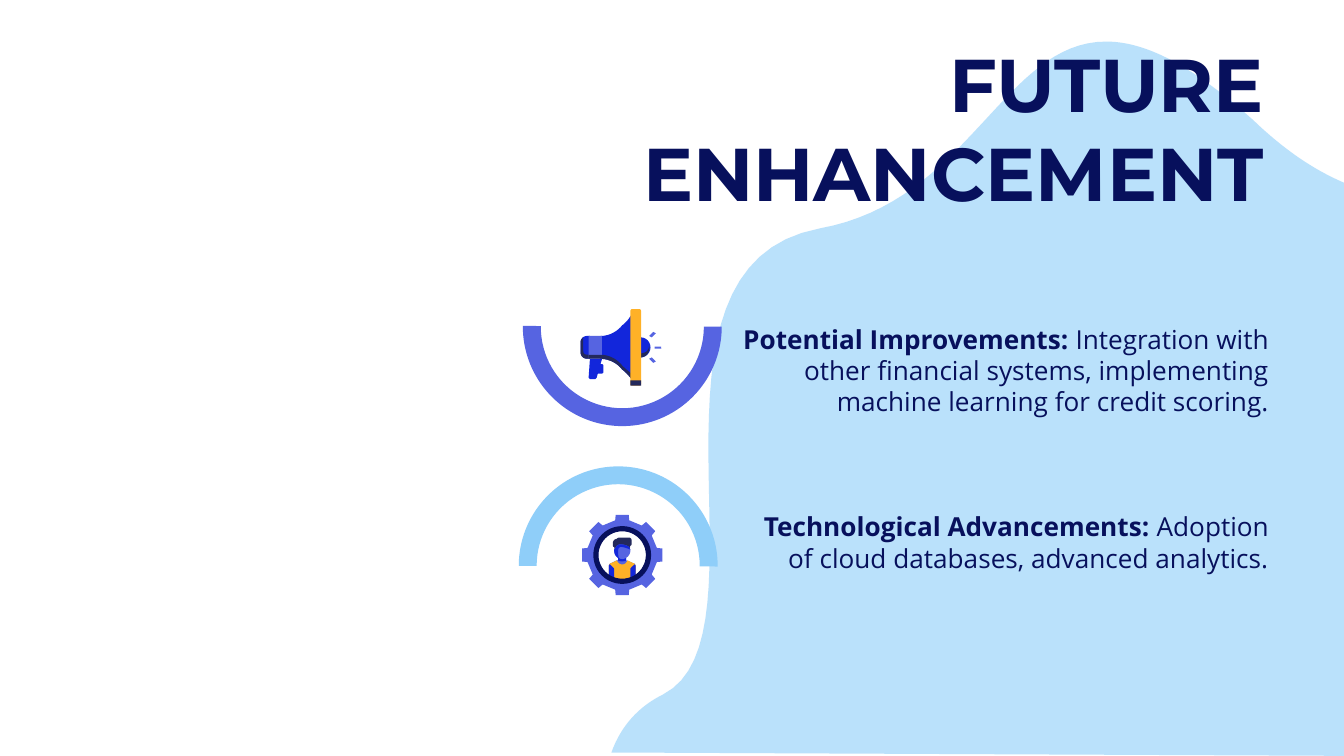
"""Build the future enhancement slide on a grid of 1000 columns by 562.5 rows."""
import math

import lxml.etree
import pptx
import pptx.dml.color
import pptx.enum.shapes
import pptx.enum.text
import pptx.oxml.ns
import pptx.util

CELL = pptx.util.Inches(0.01)
COLUMNS, ROWS = 1000, 562.5
FINENESS = 100
COLORS = {"navy": "07105C", "ink": "23295C", "blue": "1226DB", "violet": "5664E1",
          "sky": "8FCEF9", "amber": "FFB127"}
KINDS = pptx.enum.shapes.MSO_SHAPE
BLOB = [(823, 31), (747, 31, 721, 150, 610, 170), (459, 198, 579, 474, 493, 517),
        (461, 533, 450, 563, 449, 593), (COLUMNS, ROWS), (COLUMNS, 136),
        (979, 127, 957, 113, 932, 89), (885, 47, 851, 31, 823, 31)]
SHOULDERS = [(22, 36), (21, 36, 20, 37, 20, 39), (20, 48), (40, 48), (40, 39),
             (40, 37, 39, 36, 38, 36)]
SLEEVE = [(21, 37), (20, 37, 20, 38, 20, 39), (20, 48), (24, 48), (24, 41),
          (24, 40, 24, 40, 23, 39)]
HORN_EDGE = [(22, 37, 28, 41, 31, 45), (34, 47, 36, 50, 38, 52), (39, 52)]
RAY = [(54, 17), (56, 18), (53, 21), (51, 20)]
MEGAPHONE = [
    ("blue", KINDS.ROUNDED_RECTANGLE, (9, 41, 8, 7)),
    ("blue", KINDS.OVAL, (37, 21, 15, 15)),
    ("ink", None, [(37, 27), (36, 32, 39, 36, 44, 36), (49, 36, 52, 32, 51, 27),
                   (51, 31, 48, 33, 44, 33), (40, 33, 37, 31, 37, 27)]),
    ("blue", None, [(38, 4), (36, 7, 34, 10, 31, 12), (28, 16, 22, 20, 15, 20), (14, 21),
                    (14, 36), (15, 37), *HORN_EDGE, (39, 4)]),
    ("ink", None, [(14, 33), (14, 36), (15, 37), *HORN_EDGE, (39, 47), (38, 48),
                   (38, 48, 35, 46, 31, 42), (28, 38, 22, 34, 15, 34)]),
    ("amber", KINDS.ROUNDED_RECTANGLE, (37, 0, 8, 57)),
    ("ink", KINDS.RECTANGLE, (37, 53, 8, 4)),
    ("blue", None, [(5, 20), (2, 20, 0, 22, 0, 25), (0, 32), (0, 35, 2, 37, 5, 37),
                    (7, 37), (7, 20)]),
    ("ink", None, [(2, 21), (1, 22, 0, 23, 0, 25), (0, 32), (0, 35, 2, 37, 5, 37), (7, 37),
                   (7, 34), (5, 34), (3, 34, 2, 33, 2, 31)]),
    ("violet", KINDS.RECTANGLE, (6, 20, 10, 17)),
    ("ink", KINDS.RECTANGLE, (6, 34, 10, 3)),
    ("blue", None, [(7, 37), (6, 51), (7, 52), (11, 52), (12, 51), (16, 37)]),
    ("violet", KINDS.ROUNDED_RECTANGLE, (55, 28, 5, 1.5)),
    ("violet", None, RAY),
    ("violet", None, [(x, 57 - y) for x, y in RAY]),
]
PERSON = [
    ("violet", None, [(27, 32), (27, 34, 27, 34, 26, 34), *SHOULDERS, (33, 34), (33, 32)]),
    ("blue", None, [(27, 32), (27, 34), (28, 35, 32, 35, 33, 34), (33, 32)]),
    ("amber", None, [(26, 34), *SHOULDERS, (34, 34), (33, 36, 32, 37, 30, 37),
                     (28, 37, 27, 36, 26, 34)]),
    ("ink", None, [(26, 18), (24, 18, 23, 20, 23, 21), (23, 22), (23, 23, 23, 24, 24, 24),
                   (25, 29), (28, 29), (28, 18)]),
    ("ink", None, [(28, 17), (26, 17, 25, 19, 25, 20), (25, 21, 26, 22, 27, 22), (35, 29),
                   (36, 23), (37, 23, 37, 22, 37, 21), (37, 19), (37, 18, 36, 17, 35, 17)]),
    ("violet", None, [(28, 22), (26, 23), (24, 26), (24, 27), (24, 30, 27, 33, 30, 33),
                      (33, 33, 36, 30, 36, 27), (36, 26), (35, 24),
                      (34, 23, 31, 22, 28, 22)]),
    ("blue", None, [(28, 22), (26, 23), (24, 26), (24, 27), (24, 30, 26, 32, 28, 33),
                    (27, 32, 27, 30, 27, 29), (27, 26), (27, 25, 28, 24, 29, 24),
                    (31, 24, 34, 25, 36, 26), (35, 24), (34, 23, 31, 22, 28, 22)]),
    ("blue", None, SLEEVE),
    ("blue", None, [tuple(60 - value if index % 2 == 0 else value
                          for index, value in enumerate(step)) for step in SLEEVE]),
]


def color(name):
    """Return a named palette colour."""
    return pptx.dml.color.RGBColor.from_string(COLORS[name])


def paint(shape, name):
    """Fill a shape with a flat colour, without line or shadow."""
    shape.shadow.inherit = False
    shape.fill.solid()
    shape.fill.fore_color.rgb = color(name)
    shape.line.fill.background()
    return shape


def trace(steps, smoothness=32):
    """Turn points and cubic curve steps into a list of points."""
    points = [steps[0]]
    for step in steps[1:]:
        if len(step) == 2:
            points.append(step)
            continue
        knots = [points[-1], step[:2], step[2:4], step[4:]]
        for tick in range(1, smoothness + 1):
            t = tick / smoothness
            weights = ((1 - t) ** 3, 3 * t * (1 - t) ** 2, 3 * t * t * (1 - t), t ** 3)
            points.append(tuple(sum(w * knot[axis] for w, knot in zip(weights, knots))
                                for axis in (0, 1)))
    return points


def add_outline(shapes, contours, name, left=0, top=0):
    """Draw closed contours as one freeform, offset by grid cells."""
    contours = [[((x + left) * FINENESS, (y + top) * FINENESS) for x, y in contour]
                for contour in contours]
    builder = shapes.build_freeform(*contours[0][0], scale=CELL / FINENESS)
    builder.add_line_segments(contours[0][1:])
    for contour in contours[1:]:
        builder.move_to(*contour[0])
        builder.add_line_segments(contour[1:])
    return paint(builder.convert_to_shape(), name)


def add_preset(shapes, kind, box, name):
    """Draw a preset shape in a box of grid cells."""
    return paint(shapes.add_shape(kind, *(round(CELL * value) for value in box)), name)


def add_backdrop(page):
    """Draw the translucent blob, trimmed to the slide."""
    edge = [(x, y) for x, y in trace(BLOB) if y <= ROWS]
    blob = add_outline(page.shapes, [edge], "sky")
    tint = blob.fill._xPr.find(".//" + pptx.oxml.ns.qn("a:srgbClr"))
    lxml.etree.SubElement(tint, pptx.oxml.ns.qn("a:alpha"), val="61000")


def add_icon(page, left, top, parts):
    """Draw icon parts as a group at a grid position."""
    group = page.shapes.add_group_shape()
    for name, kind, form in parts:
        if kind is None:
            add_outline(group.shapes, [trace(form, 8)], name, left, top)
        else:
            add_preset(group.shapes, kind, (left + form[0], top + form[1], *form[2:]), name)
    return group


def add_gear(group, left, top, size=60):
    """Add an eight-toothed gear and its inner ring to a group."""
    center = size / 2

    def around(radius, angle):
        """Return a point on a circle about the gear's center."""
        return center + radius * math.cos(angle), center + radius * math.sin(angle)

    teeth = [around(radius, math.pi / 4 * tooth + offset) for tooth in range(8)
             for radius, offset in ((26.3, -0.2), (30.3, -0.16), (30.3, 0.16), (26.3, 0.2))]
    hole = [around(18, -math.pi / 36 * tick) for tick in range(72)]
    add_outline(group.shapes, [teeth, hole], "violet", left, top)
    ring = add_preset(group.shapes, KINDS.DONUT, (left + 8.5, top + 8.5, 43, 43), "navy")
    ring.adjustments[0] = 0.09


def add_arc(page, left, top, name, rotation):
    """Draw a half ring at a grid position."""
    arc = add_preset(page.shapes, KINDS.BLOCK_ARC, (left, top, 148, 148), name)
    arc.rotation = rotation
    for index, value in enumerate((108, 0.254, 0.09)):
        arc.adjustments[index] = value


def add_text(page, box, paragraphs, font, size, layout, hanging=False):
    """Write right-aligned paragraphs of (text, bold) spans in a box."""
    frame = page.shapes.add_textbox(*(round(CELL * value) for value in box)).text_frame
    frame.word_wrap = True
    for side in ("left", "right", "top", "bottom"):
        setattr(frame, "margin_" + side, 10 * CELL)
    for index, spans in enumerate(paragraphs):
        para = frame.paragraphs[0] if index == 0 else frame.add_paragraph()
        para.alignment = pptx.enum.text.PP_ALIGN.RIGHT
        for key, value in layout.items():
            if index or key != "space_before":
                setattr(para, key, value)
        if hanging:
            properties = para._p.get_or_add_pPr()
            properties.set("marL", str(50 * CELL))
            properties.set("indent", str(-38 * CELL))
        for text, bold in spans:
            span = para.add_run()
            span.text = text
            style = {"name": font, "size": pptx.util.Pt(size), "bold": bold}
            for key, value in style.items():
                setattr(span.font, key, value)
            span.font.color.rgb = color("navy")


def main():
    """Assemble and save the slide."""
    deck = pptx.Presentation()
    deck.slide_width, deck.slide_height = COLUMNS * CELL, round(ROWS * CELL)
    page = deck.slides.add_slide(deck.slide_layouts[6])
    add_backdrop(page)
    add_text(page, (462, 18, 488, 153), [[("FUTURE ENHANCEMENT", True)]], "Montserrat", 40, {})
    points = [
        [("Potential Improvements:", True), (" Integration with other financial systems, "
         "implementing machine learning for credit scoring.", False)],
        [("Technological Advancements:", True),
         (" Adoption of cloud databases, advanced analytics.", False)],
    ]
    layout = {"line_spacing": pptx.util.Pt(16.75), "space_before": pptx.util.Pt(50.25)}
    add_text(page, (526, 230.5, 428, 249), points, "Open Sans", 14, layout, hanging=True)
    add_icon(page, 432, 230, MEGAPHONE)
    add_gear(add_icon(page, 433, 383, PERSON), 433, 383)
    add_arc(page, 386, 347, "sky", 0)
    add_arc(page, 389, 169, "violet", 180)
    deck.save("out.pptx")


if __name__ == "__main__":
    main()
